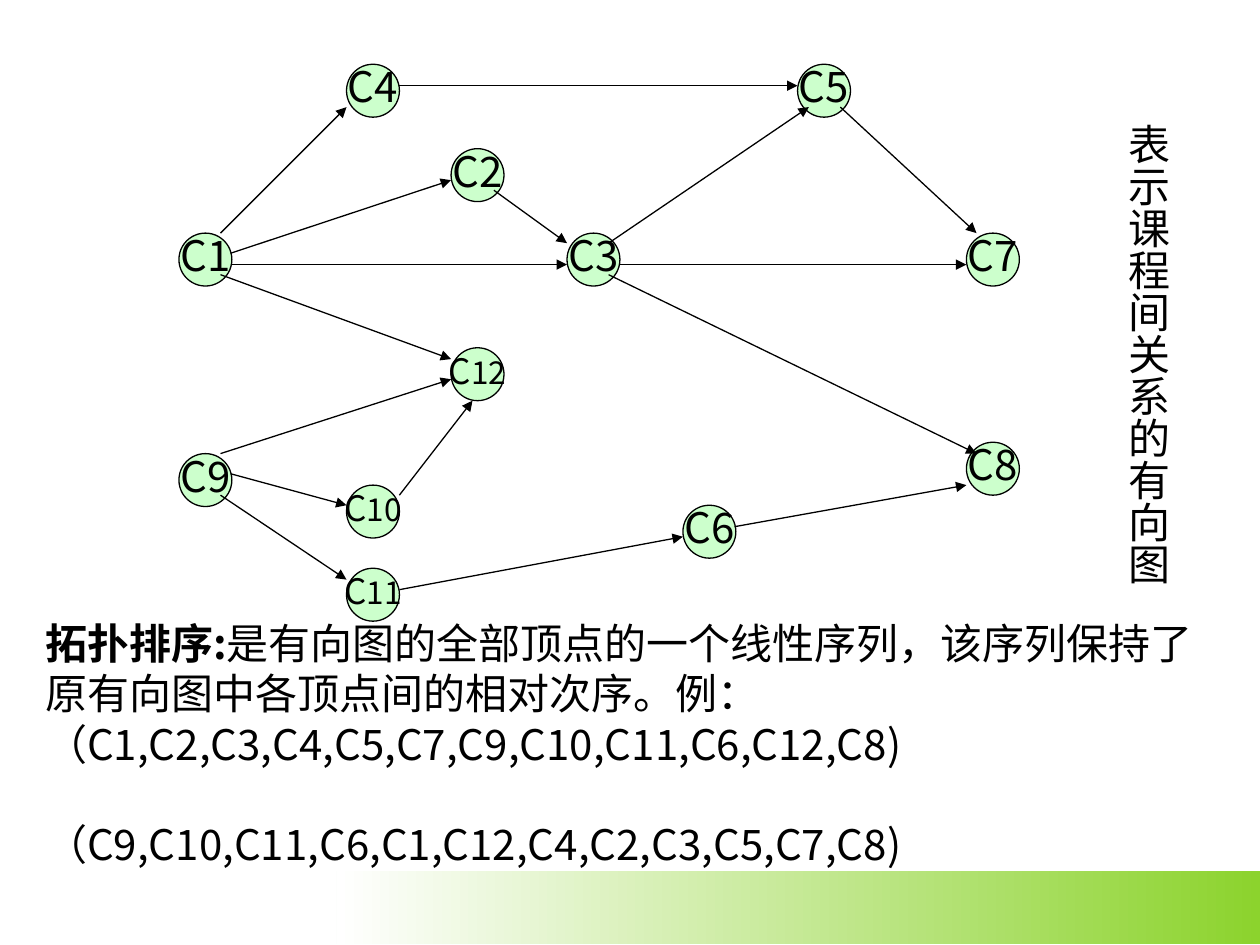
from typing import NamedTuple

from lxml import etree
from pptx import Presentation
from pptx.dml.color import RGBColor
from pptx.enum.shapes import MSO_CONNECTOR, MSO_SHAPE
from pptx.enum.text import MSO_ANCHOR, MSO_AUTO_SIZE, PP_ALIGN
from pptx.oxml.ns import qn
from pptx.util import Inches, Pt

OVAL, RECT = MSO_SHAPE.OVAL, MSO_SHAPE.RECTANGLE
LINE = MSO_CONNECTOR.STRAIGHT
MIDDLE, CENTER = MSO_ANCHOR.MIDDLE, PP_ALIGN.CENTER
GROW = MSO_AUTO_SIZE.SHAPE_TO_FIT_TEXT

BLACK = RGBColor(0x00, 0x00, 0x00)
WHITE = RGBColor(0xFF, 0xFF, 0xFF)
MINT = RGBColor(0xCC, 0xFF, 0xCC)
GREEN = RGBColor(0x8C, 0xD3, 0x2D)
FONT = "Noto Sans CJK SC"
SIZE = 0.42
THIN = Pt(0.75)


class Node(NamedTuple):
    name: str
    x: float
    y: float


class Edge(NamedTuple):
    x1: float
    y1: float
    x2: float
    y2: float


NODES = [
    Node("C1", 1.42, 1.85), Node("C2", 3.58, 1.18), Node("C4", 2.75, 0.51),
    Node("C5", 6.33, 0.51), Node("C3", 4.5, 1.85), Node("C7", 7.67, 1.85),
    Node("C12", 3.58, 2.76), Node("C9", 1.42, 3.6), Node("C10", 2.75, 3.85),
    Node("C11", 2.75, 4.51), Node("C6", 5.42, 4.01), Node("C8", 7.67, 3.51),
]

EDGES = [
    Edge(1.75, 1.85, 2.75, 0.85),  # C1 to C4
    Edge(3.17, 0.68, 6.33, 0.68),  # C4 to C5
    Edge(1.83, 2.01, 3.58, 1.43),  # C1 to C2
    Edge(1.83, 2.1, 4.5, 2.1),     # C1 to C3
    Edge(4.92, 2.1, 7.67, 2.1),    # C3 to C7
    Edge(3.92, 1.51, 4.5, 1.93),   # C2 to C3
    Edge(4.83, 1.93, 6.42, 0.85),  # C3 to C5
    Edge(6.67, 0.85, 7.75, 1.85),  # C5 to C7
    Edge(1.75, 2.18, 3.58, 2.85),  # C1 to C12
    Edge(1.75, 3.6, 3.58, 3.01),   # C9 to C12
    Edge(1.83, 3.76, 2.75, 4.01),  # C9 to C10
    Edge(3.17, 3.93, 3.75, 3.18),  # C10 to C12
    Edge(1.75, 3.93, 2.75, 4.6),   # C9 to C11
    Edge(3.17, 4.68, 5.42, 4.26),  # C11 to C6
    Edge(5.83, 4.18, 7.67, 3.85),  # C6 to C8
    Edge(4.83, 2.18, 7.75, 3.6),   # C3 to C8
]

TITLE = "表示课程间关系的有向图"
TERM = "拓扑排序:"
LINES = [
    "是有向图的全部顶点的一个线性序列，该序列保持了",
    "原有向图中各顶点间的相对次序。例：",
    "（C1,C2,C3,C4,C5,C7,C9,C10,C11,C6,C12,C8)",
    "（C9,C10,C11,C6,C1,C12,C4,C2,C3,C5,C7,C8)",
]


def style(para) -> None:
    """Set the shared font, for Latin and Chinese text alike."""
    font = para.font
    font.name, font.size = FONT, Pt(24)
    font.color.rgb = BLACK
    latin = para._p.pPr.find(qn("a:defRPr")).find(qn("a:latin"))
    ea = etree.Element(qn("a:ea"), typeface=FONT)
    latin.addnext(ea)


def draw_band(shapes) -> None:
    band = shapes.add_shape(RECT, Inches(2.67), Inches(6.91),
                            Inches(7.33), Inches(0.58))
    band.shadow.inherit = False
    band.line.fill.background()
    band.fill.gradient()
    band.fill.gradient_angle = 180
    for stop, color in zip(band.fill.gradient_stops, (GREEN, WHITE)):
        stop.color.rgb = color


def draw_node(shapes, node: Node) -> None:
    oval = shapes.add_shape(OVAL, Inches(node.x), Inches(node.y),
                            Inches(SIZE), Inches(SIZE))
    oval.shadow.inherit = False
    oval.fill.solid()
    oval.fill.fore_color.rgb = MINT
    oval.line.color.rgb, oval.line.width = BLACK, THIN
    frame = oval.text_frame
    frame.word_wrap, frame.vertical_anchor = False, MIDDLE
    para = frame.paragraphs[0]
    para.alignment, para.line_spacing = CENTER, 0.8
    style(para)
    if len(node.name) == 2:
        para.add_run().text = node.name
        return
    for text, size in ((node.name[0], 20), (node.name[1:], 18)):
        run = para.add_run()
        run.text, run.font.size = text, Pt(size)


def draw_edge(shapes, edge: Edge) -> None:
    line = shapes.add_connector(LINE, *(Inches(n) for n in edge))
    line.line.color.rgb, line.line.width = BLACK, THIN
    etree.SubElement(line.line._get_or_add_ln(), qn("a:tailEnd"),
                     type="triangle")
    etree.SubElement(line._element.spPr, qn("a:effectLst"))


def add_box(shapes, x: float, y: float, w: float, h: float):
    """Add an unwrapped text box and return its frame."""
    box = shapes.add_textbox(Inches(x), Inches(y), Inches(w), Inches(h))
    frame = box.text_frame
    frame.word_wrap, frame.auto_size = False, GROW
    return frame


def draw_title(shapes) -> None:
    frame = add_box(shapes, 8.36, 0.88, 1, 3.77)
    frame.margin_left = frame.margin_right = Inches(0.05)
    frame.margin_top = frame.margin_bottom = Inches(0.1)
    frame._txBody.bodyPr.set("vert", "eaVert")
    para = frame.paragraphs[0]
    style(para)
    para.add_run().text = TITLE


def draw_notes(shapes) -> None:
    frame = add_box(shapes, 0.26, 4.85, 9.52, 2.1)
    for i, text in enumerate(LINES):
        para = frame.add_paragraph() if i else frame.paragraphs[0]
        style(para)
        if i == 0:
            term = para.add_run()
            term.text, term.font.bold = TERM, True
        para.add_run().text = text
    para.space_before = Pt(28.8)


def main() -> None:
    deck = Presentation()
    deck.slide_width, deck.slide_height = Inches(10), Inches(7.5)
    shapes = deck.slides.add_slide(deck.slide_layouts[6]).shapes
    draw_band(shapes)
    for node in NODES:
        draw_node(shapes, node)
    for edge in EDGES:
        draw_edge(shapes, edge)
    draw_title(shapes)
    draw_notes(shapes)
    deck.save("out.pptx")


if __name__ == "__main__":
    main()
